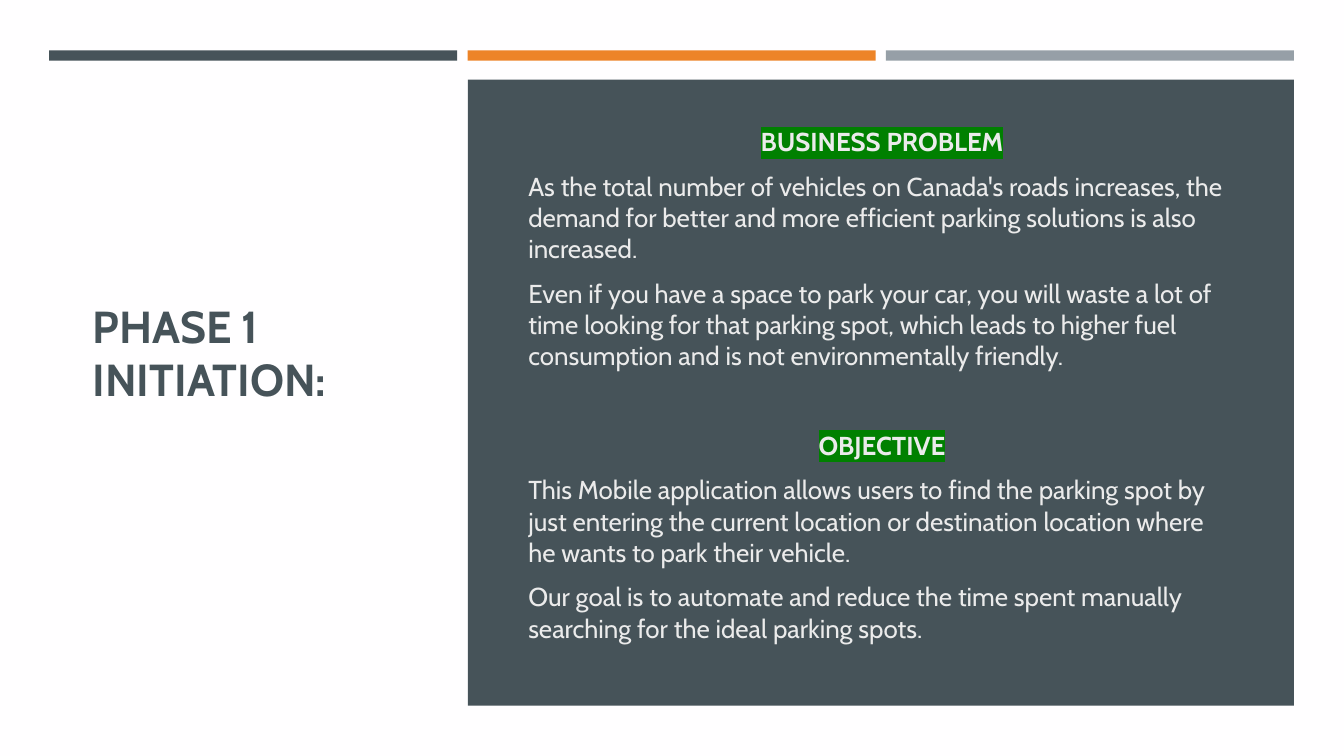
import pptx
import pptx.dml.color
import pptx.enum.shapes
import pptx.enum.text
import pptx.oxml
import pptx.oxml.ns
import pptx.util

Cm = pptx.util.Cm
Pt = pptx.util.Pt
RGBColor = pptx.dml.color.RGBColor
ALIGN = pptx.enum.text.PP_ALIGN
ANCHOR = pptx.enum.text.MSO_ANCHOR

BACKDROP = RGBColor(0x3D, 0x3D, 0x3D)
PAPER = RGBColor(0xFF, 0xFE, 0xFF)
SLATE = RGBColor(0x46, 0x53, 0x59)
ORANGE = RGBColor(0xED, 0x84, 0x28)
GREY = RGBColor(0x96, 0x9F, 0xA7)
LIGHT = RGBColor(0xEB, 0xEB, 0xEB)
GREEN = RGBColor(0x00, 0x80, 0x00)

SLIDE_WIDTH, SLIDE_HEIGHT = 33.87, 19.05
PHASE = "PHASE 1 INITIATION:"
SECTIONS = [
    ("BUSINESS PROBLEM", [
        "As the total number of vehicles on Canada's roads increases, the demand for better and more efficient parking solutions is also increased.",
        "Even if you have a space to park your car, you will waste a lot of time looking for that parking spot, which leads to higher fuel consumption and is not environmentally friendly.",
    ]),
    ("OBJECTIVE", [
        "This Mobile application allows users to find the parking spot by just entering the current location or destination location where he wants to park their vehicle.",
        "Our goal is to automate and reduce the time spent manually searching for the ideal parking spots.",
    ]),
]


def write(paragraph, text, size=18.5, color=LIGHT, bold=False,
          align=ALIGN.LEFT, before=0, after=0, highlight=None):
    paragraph.alignment = align
    paragraph.line_spacing = 1.0
    paragraph.space_before = Pt(before)
    paragraph.space_after = Pt(after)
    properties = paragraph._p.get_or_add_pPr()
    properties.set("marL", "0")
    properties.set("indent", "0")
    properties.append(pptx.oxml.parse_xml(f"<a:buNone {pptx.oxml.ns.nsdecls('a')}/>"))
    run = paragraph.add_run()
    run.text = text
    run.font.name = "Cabin"
    run.font.size = Pt(size)
    run.font.bold = bold
    run.font.color.rgb = color
    if highlight is not None:
        marker = pptx.oxml.parse_xml(
            f"<a:highlight {pptx.oxml.ns.nsdecls('a')}>"
            f'<a:srgbClr val="{highlight}"/></a:highlight>')
        run.font._element.find(pptx.oxml.ns.qn("a:solidFill")).addnext(marker)


def block(slide, left, top, width, height, color):
    rectangle = slide.shapes.add_shape(
        pptx.enum.shapes.MSO_SHAPE.RECTANGLE, Cm(left), Cm(top), Cm(width), Cm(height))
    rectangle.shadow.inherit = False
    rectangle.fill.solid()
    rectangle.fill.fore_color.rgb = color
    rectangle.line.fill.background()


def place(slide, placeholder, left, top, width, height, anchor):
    slide.shapes._spTree.append(placeholder._element)
    placeholder.left, placeholder.top = Cm(left), Cm(top)
    placeholder.width, placeholder.height = Cm(width), Cm(height)
    frame = placeholder.text_frame
    frame.word_wrap = True
    frame.auto_size = pptx.enum.text.MSO_AUTO_SIZE.NONE
    frame.vertical_anchor = anchor
    return frame


def top_bands(slide, left, top, width, height, gap=0.26):
    colors = (SLATE, ORANGE, GREY)
    band = (width - gap * (len(colors) - 1)) / len(colors)
    for index, color in enumerate(colors):
        block(slide, left + index * (band + gap), top, band, height, color)


def phase_title(slide, left, top, width, height):
    frame = place(slide, slide.shapes.title, left, top, width, height, ANCHOR.MIDDLE)
    write(frame.paragraphs[0], PHASE, size=32, color=SLATE, bold=True)


def section_panel(slide, left, top, width, height):
    block(slide, left, top, width, height, SLATE)
    frame = place(slide, slide.placeholders[1], left + 1.27, top + 1.04,
                  width - 2.49, height - 2, ANCHOR.TOP)
    for index, (heading, statements) in enumerate(SECTIONS):
        paragraph = frame.add_paragraph() if index else frame.paragraphs[0]
        write(paragraph, heading, bold=True, align=ALIGN.CENTER,
              before=32 if index else 0, after=9.7, highlight=GREEN)
        for statement in statements:
            write(frame.add_paragraph(), statement, after=9.7)


def main():
    deck = pptx.Presentation()
    deck.slide_width, deck.slide_height = Cm(SLIDE_WIDTH), Cm(SLIDE_HEIGHT)
    slide = deck.slides.add_slide(deck.slide_layouts[1])
    slide.background.fill.solid()
    slide.background.fill.fore_color.rgb = BACKDROP
    block(slide, 0, 0, SLIDE_WIDTH, SLIDE_HEIGHT, PAPER)
    phase_title(slide, 2.08, 2.97, 9.47, 11.8)
    top_bands(slide, 1.24, 1.27, 31.37, 0.26)
    section_panel(slide, 11.79, 2.01, 20.82, 15.77)
    deck.save("out.pptx")


if __name__ == "__main__":
    main()
